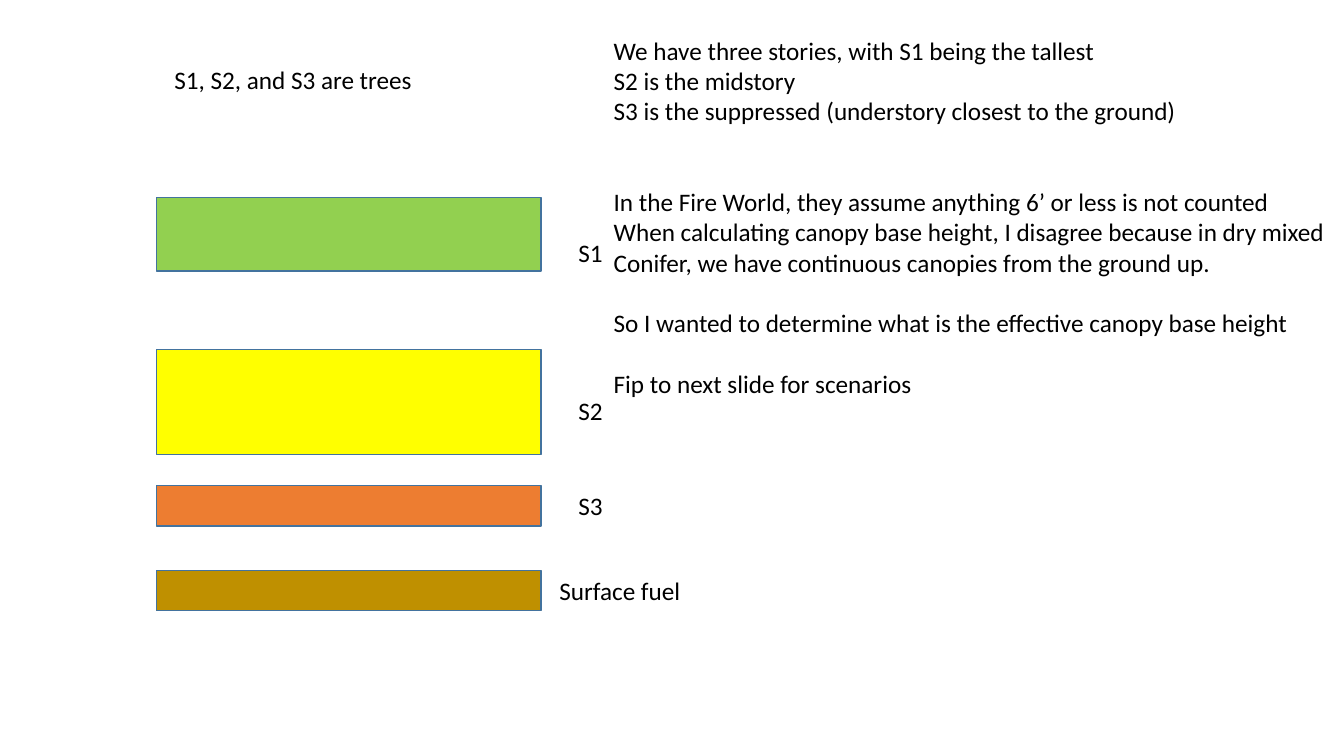
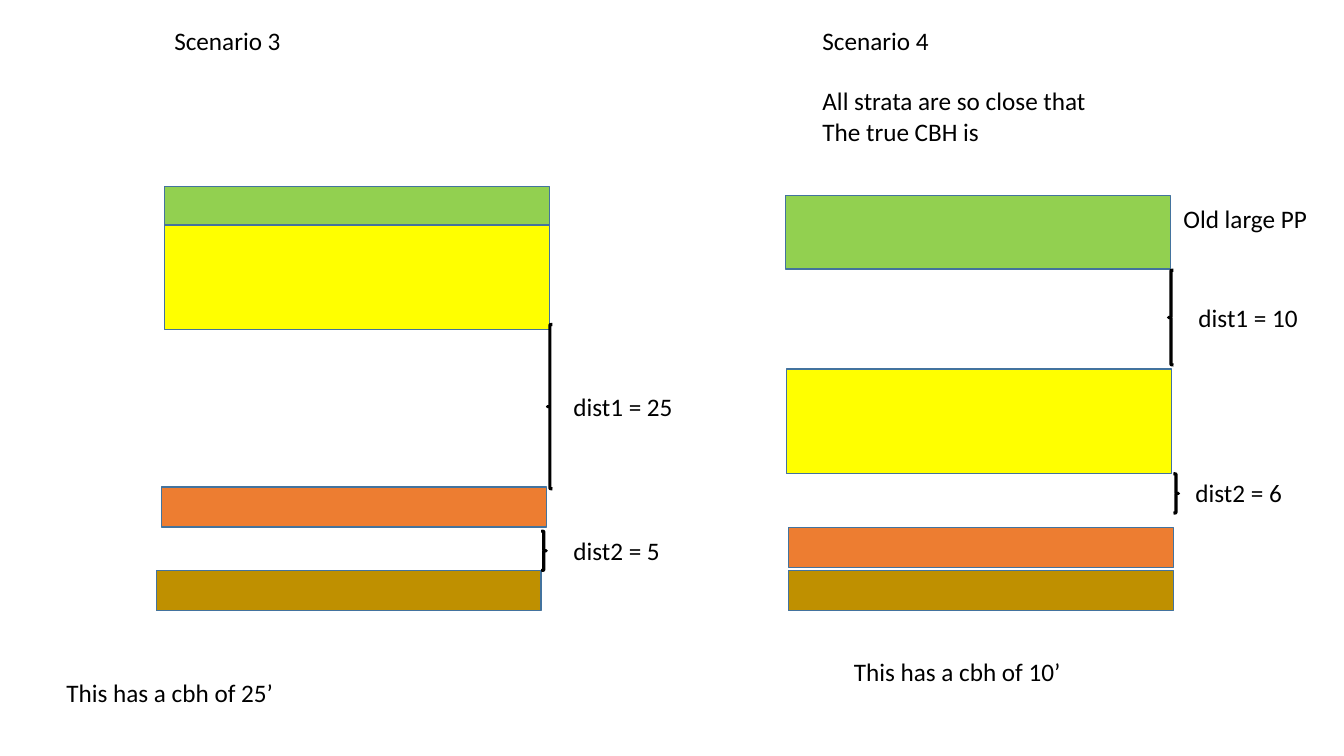
import pptx
import pptx.dml.color
import pptx.enum.shapes
import pptx.enum.text
import pptx.util

Pt = pptx.util.Pt
Shapes = pptx.enum.shapes.MSO_SHAPE

FONT, TEXT_SIZE, LINE_HEIGHT = "Calibri", 18, 21.6
BLACK, OUTLINE = "000000", "43739E"
STRATUM_WIDTH, LABEL_HEIGHT, BRACE_WIDTH = 275, 28.8, 3.6
# Fill and height of each stratum, from the tallest story to the ground
STRATA = {
    "S1": ("92D050", 52.6),
    "S2": ("FFFF00", 74.9),
    "S3": ("ED7D31", 28.8),
    "Surface fuel": ("BF9000", 28.8),
}
PANEL_TOP, LEFT_PANEL, RIGHT_PANEL = 14.4, 111.6, 561


def color(hex_string):
    """Return the colour for a hex string."""
    return pptx.dml.color.RGBColor.from_string(hex_string)


def add_outline_shape(slide, kind, left, top, width, height, line, weight, fill=None):
    """Add a preset shape with an outline and an optional fill."""
    shape = slide.shapes.add_shape(kind, Pt(left), Pt(top), Pt(width), Pt(height))
    shape.shadow.inherit = False
    if fill:
        shape.fill.solid()
        shape.fill.fore_color.rgb = color(fill)
    else:
        shape.fill.background()
    shape.line.color.rgb = color(line)
    shape.line.width = Pt(weight)
    return shape


def add_text(slide, left, top, width, lines):
    """Add unwrapped text; an empty line becomes space before the next one."""
    box = slide.shapes.add_textbox(Pt(left), Pt(top), Pt(width), Pt(LABEL_HEIGHT))
    frame = box.text_frame
    frame.word_wrap = False
    frame.auto_size = pptx.enum.text.MSO_AUTO_SIZE.SHAPE_TO_FIT_TEXT
    paragraph, gap = frame.paragraphs[0], 0
    for index, line in enumerate(lines):
        if not line:
            gap += LINE_HEIGHT
            continue
        if index:
            paragraph = frame.add_paragraph()
        paragraph.text = line
        paragraph.space_before = Pt(gap)
        paragraph.font.name = FONT
        paragraph.font.size = Pt(TEXT_SIZE)
        paragraph.font.color.rgb = color(BLACK)
        gap = 0


def add_strata(slide, left, top, offsets):
    """Draw the four strata at their offsets from the panel corner."""
    for (fill, height), (x, y) in zip(STRATA.values(), offsets):
        add_outline_shape(slide, Shapes.RECTANGLE, left + x, top + y,
                          STRATUM_WIDTH, height, OUTLINE, 1, fill)


def add_brace(slide, left, top, height, flipped):
    """Draw a narrow brace that spans a gap between strata."""
    brace = add_outline_shape(slide, Shapes.RIGHT_BRACE, left, top,
                              BRACE_WIDTH, height, BLACK, 2.25)
    if flipped:
        brace._element.spPr.xfrm.set("flipH", "1")


def add_scenario(slide, left, top, strata, braces, texts):
    """Draw one scenario panel: strata, gap braces and texts."""
    add_strata(slide, left, top, strata)
    for x, y, height, flipped in braces:
        add_brace(slide, left + x, top + y, height, flipped)
    for x, y, width, lines in texts:
        add_text(slide, left + x, top + y, width, lines)


def build_stories(slide, left, top):
    """Build the slide that introduces the stories and the question."""
    add_strata(slide, left, top, [(0, 126.7), (0, 235.4), (0, 332.6), (0, 393.1)])
    labels = [(294.5, 151.9, 32.4), (294.5, 264.2, 32.4),
              (294.5, 332.6, 32.4), (280.8, 393.1, 102.2)]
    for name, (x, y, width) in zip(STRATA, labels):
        add_text(slide, left + x, top + y, width, [name])
    add_text(slide, left + 5.8, top + 28.1, 186.5, ["S1, S2, and S3 are trees"])
    add_text(slide, left + 319.7, top + 7.2, 528.5, [
        "We have three stories, with S1 being the tallest",
        "S2 is the midstory",
        "S3 is the suppressed (understory closest to the ground)",
        "",
        "",
        "In the Fire World, they assume anything 6’ or less is not counted",
        "When calculating canopy base height, I disagree because in dry mixed",
        "Conifer, we have continuous canopies from the ground up.",
        "",
        "So I wanted to determine what is the effective canopy base height",
        "",
        "Fip to next slide for scenarios",
    ])


def build_scenarios(slide):
    """Build the slide that compares scenarios 3 and 4."""
    add_scenario(
        slide, LEFT_PANEL, PANEL_TOP,
        strata=[(5.8, 118.8), (5.8, 146.2), (3.6, 333.4), (0, 393.1)],
        braces=[(279.4, 217.4, 117.4, True), (275, 365, 28.1, False)],
        texts=[
            (5.8, 0, 91.4, ["Scenario 3"]),
            (290.9, 261.4, 86.4, ["dist1 = 25"]),
            (290.9, 364.3, 77, ["dist2 = 5"]),
            (-71.3, 465.8, 164.2, ["This has a cbh of 25’"]),
        ])
    add_scenario(
        slide, RIGHT_PANEL, PANEL_TOP,
        strata=[(0, 125.3), (0.7, 249.1), (2.2, 362.2), (2.2, 393.1)],
        braces=[(273.6, 178.6, 67.7, True), (277.2, 324, 28.1, False)],
        texts=[
            (19.4, 0, 204.5, ["Scenario 4", "", "All strata are so close that",
                              "The true CBH is"]),
            (277.2, 127.4, 103.7, ["Old large PP"]),
            (288, 198, 86.4, ["dist1 = 10"]),
            (285.8, 323.3, 77, ["dist2 = 6"]),
            (41.8, 450.7, 164.2, ["This has a cbh of 10’"]),
        ])


presentation = pptx.Presentation()
presentation.slide_width, presentation.slide_height = Pt(960), Pt(540)
blank_layout = presentation.slide_layouts[6]
build_stories(presentation.slides.add_slide(blank_layout), LEFT_PANEL, PANEL_TOP)
build_scenarios(presentation.slides.add_slide(blank_layout))
presentation.save("out.pptx")
